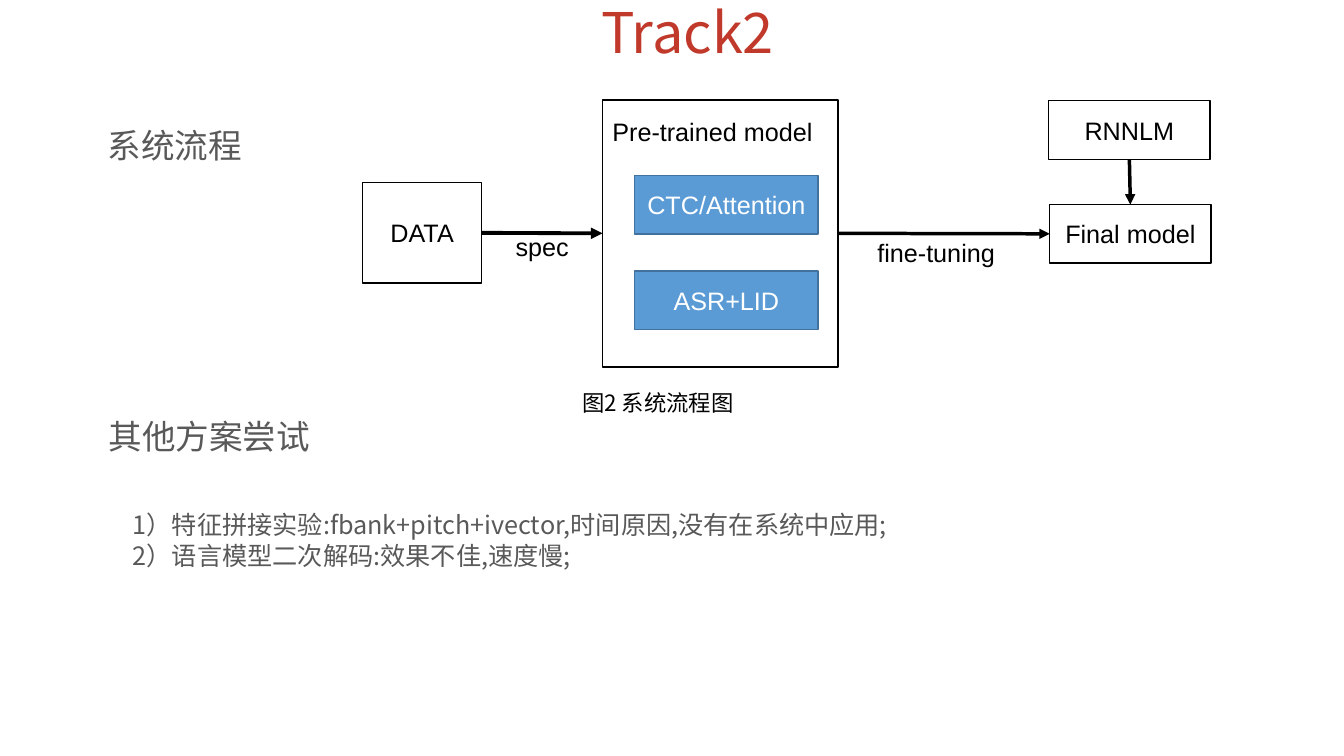
from lxml.etree import SubElement
from pptx import Presentation
from pptx.dml.color import RGBColor
from pptx.enum.shapes import MSO_CONNECTOR as Connector, MSO_SHAPE as Shape
from pptx.enum.text import MSO_ANCHOR as Anchor, PP_ALIGN as Align
from pptx.oxml.ns import qn
from pptx.util import Inches, Pt

COLORS = {
    "red": "C1392B", "gray": "595959", "black": "000000",
    "white": "FFFFFF", "blue": "5B9BD5", "blue_edge": "41719C",
}
LATIN, CJK = "Arial", "Noto Sans CJK JP"
BOTTOM, LEFT, RIGHT, TOP = 2, 1, 3, 0


def color(name):
    return RGBColor.from_string(COLORS[name])


def set_format(target, values):
    for name, value in values.items():
        setattr(target, name, value)


def write(shape, lines, size, ink, font=LATIN, frame_format=None, paragraph_format=None):
    frame = shape.text_frame
    set_format(frame, {"word_wrap": True, **(frame_format or {})})
    for index, line in enumerate(lines):
        paragraph = frame.paragraphs[0] if index == 0 else frame.add_paragraph()
        set_format(paragraph, paragraph_format or {})
        run = paragraph.add_run()
        run.text = line
        set_format(run.font, {"size": Pt(size), "name": font})
        run.font.color.rgb = color(ink)
        SubElement(run.font._element, qn("a:ea"), typeface=font)


def add_text(slide, box, lines, size, ink, font=LATIN, frame_format=None, paragraph_format=None):
    shape = slide.shapes.add_textbox(*map(Inches, box))
    write(shape, lines, size, ink, font, frame_format, paragraph_format)


def add_cjk(slide, box, lines, size, ink):
    spacing = {"line_spacing": Pt(round(size * 1.23))}
    add_text(slide, box, lines, size, ink, CJK, paragraph_format=spacing)


def add_block(slide, box, label="", fill="white", edge="black", ink="black"):
    block = slide.shapes.add_shape(Shape.RECTANGLE, *map(Inches, box))
    block.shadow.inherit = False
    block.fill.solid()
    block.fill.fore_color.rgb = color(fill)
    block.line.color.rgb = color(edge)
    block.line.width = Pt(1)
    if label:
        write(block, [label], 18, ink, frame_format={"vertical_anchor": Anchor.MIDDLE},
              paragraph_format={"alignment": Align.CENTER})
    return block


def add_arrow(slide, source, source_side, target, target_side, width=2.5):
    arrow = slide.shapes.add_connector(Connector.STRAIGHT, 0, 0, 0, 0)
    arrow.begin_connect(source, source_side)
    arrow.end_connect(target, target_side)
    arrow.line.color.rgb = color("black")
    arrow.line.width = Pt(width)
    SubElement(arrow.line._get_or_add_ln(), qn("a:tailEnd"), type="triangle")
    SubElement(arrow._element.spPr, qn("a:effectLst"))


def build_title(slide, box):
    add_text(slide, box, ["Track2"], 40, "red", CJK, {"vertical_anchor": Anchor.MIDDLE},
             {"alignment": Align.CENTER, "line_spacing": 0.9})


def build_pretrained(slide, box):
    left, top, width, height = box
    model = add_block(slide, box)
    add_text(slide, (left, top + 0.12, width, 0.4), ["Pre-trained model"], 18, "black")
    for row, label in enumerate(["CTC/Attention", "ASR+LID"]):
        add_block(slide, (left + 0.32, top + 0.75 + row * 0.95, 1.82, 0.58),
                  label, "blue", "blue_edge", "white")
    return model


def build_flow(slide, box):
    left, top, width, height = box
    # Blocks
    data = add_block(slide, (left, top + 0.82, 1.18, 1), "DATA")
    pretrained = build_pretrained(slide, (left + 2.38, top, 2.34, 2.65))
    final = add_block(slide, (left + 6.82, top + 1.04, 1.6, 0.58), "Final model")
    rnnlm = add_block(slide, (left + 6.81, top + 0.01, 1.6, 0.58), "RNNLM")
    # Arrows and their labels
    add_arrow(slide, data, RIGHT, pretrained, LEFT, 2.75)
    add_arrow(slide, pretrained, RIGHT, final, LEFT)
    add_arrow(slide, rnnlm, BOTTOM, final, TOP)
    add_text(slide, (left + 1.42, top + 1.26, 0.9, 0.4), ["spec"], 18, "black")
    add_text(slide, (left + 5.01, top + 1.32, 1.5, 0.4), ["fine-tuning"], 18, "black")
    # Caption
    add_cjk(slide, (left + 2.08, top + 2.81, 2.2, 0.37), ["图2 系统流程图"], 16, "black")


def build_attempts(slide, box):
    left, top, width, height = box
    add_cjk(slide, (left, top, 3, 0.5), ["其他方案尝试"], 24, "gray")
    add_cjk(slide, (left + 0.24, top + 0.94, width - 0.24, 0.7), [
        "1）特征拼接实验:fbank+pitch+ivector,时间原因,没有在系统中应用;",
        "2）语言模型二次解码:效果不佳,速度慢;",
    ], 18, "gray")


def main():
    presentation = Presentation()
    set_format(presentation, {"slide_width": Inches(13.34), "slide_height": Inches(7.5)})
    slide = presentation.slides.add_slide(presentation.slide_layouts[6])
    build_title(slide, (2.02, 0, 9.61, 0.7))
    add_cjk(slide, (0.97, 1.17, 2.5, 0.5), ["系统流程"], 24, "gray")
    build_flow(slide, (3.6, 0.99, 8.42, 3.18))
    build_attempts(slide, (0.98, 4.06, 12.35, 1.64))
    presentation.save("out.pptx")


if __name__ == "__main__":
    main()
